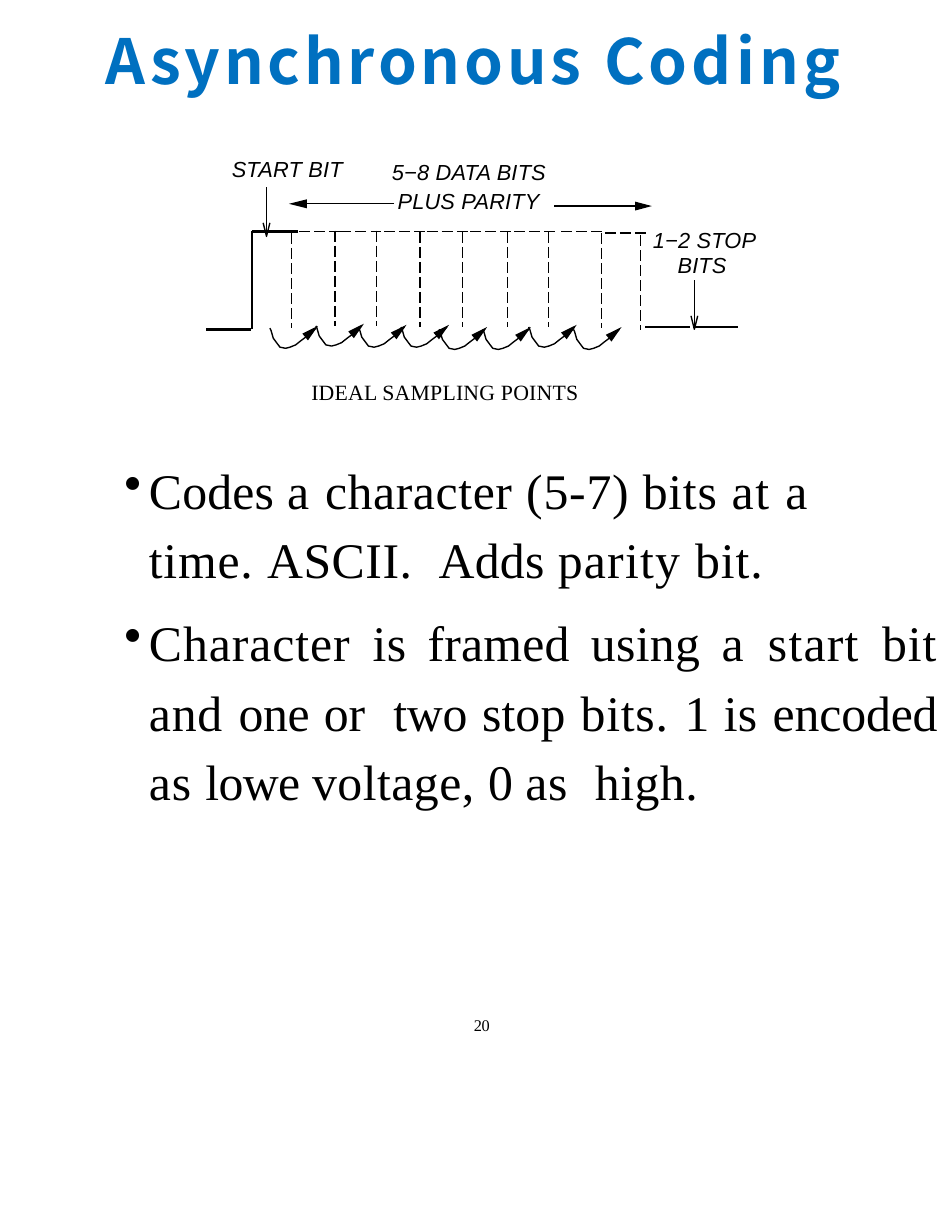
"""Build the Asynchronous Coding slide: a framed character waveform and two notes."""
from lxml import etree
from pptx import Presentation, util as u
from pptx.dml.color import RGBColor
from pptx.enum import dml, shapes, text
from pptx.oxml.ns import qn

PX = 9144
BLACK = RGBColor(0, 0, 0)
TITLE_BLUE = RGBColor(0x00, 0x70, 0xC0)
THIN, THICK = 0.88, 1.75

deck = Presentation()
deck.slide_width, deck.slide_height = 850 * PX, 1100 * PX
slide = deck.slides.add_slide(deck.slide_layouts[6])


def stroke(points, weight=THIN, dashed=False, head=False):
    if len(points) == 2:
        (x1, y1), (x2, y2) = points
        mark = slide.shapes.add_connector(
            shapes.MSO_CONNECTOR.STRAIGHT, x1 * PX, y1 * PX, x2 * PX, y2 * PX)
        etree.SubElement(mark._element.spPr, qn("a:effectLst"))
    else:
        outline = slide.shapes.build_freeform(*points[0], scale=PX)
        outline.add_line_segments(points[1:], close=head)
        mark = outline.convert_to_shape()
        mark.shadow.inherit = False
        if head:
            mark.fill.solid()
            mark.fill.fore_color.rgb = BLACK
        else:
            mark.fill.background()
    if head:
        mark.line.fill.background()
    else:
        mark.line.color.rgb = BLACK
        mark.line.width = u.Pt(weight)
        if dashed:
            mark.line.dash_style = dml.MSO_LINE.LONG_DASH


def write(box, paragraphs, top_inset=0):
    frame = slide.shapes.add_textbox(*(side * PX for side in box)).text_frame
    frame.word_wrap = True
    frame.auto_size = text.MSO_AUTO_SIZE.SHAPE_TO_FIT_TEXT
    frame.margin_left = frame.margin_right = frame.margin_bottom = 0
    frame.margin_top = top_inset * PX
    for index, (runs, style) in enumerate(paragraphs):
        para = frame.add_paragraph() if index else frame.paragraphs[0]
        props = para._p.get_or_add_pPr()
        for side in ("marL", "marR", "indent"):
            props.set(side, str(style.get(side, 0) * PX))
        if style.get("bullet"):
            etree.SubElement(props, qn("a:buChar")).set("char", "•")
        if "align" in style:
            para.alignment = style["align"]
        if "leading" in style:
            para.line_spacing = style["leading"]
        if "before" in style:
            para.space_before = u.Pt(style["before"])
        for words, tracking in runs:
            run = para.add_run()
            run.text = words
            run.font.name = style["font"]
            run.font.size = u.Pt(style["size"])
            run.font.bold = style.get("bold", False)
            run.font.italic = style.get("italic", False)
            run.font.color.rgb = style.get("color", BLACK)
            run._r.get_or_add_rPr().set("spc", str(round(tracking * 100)))


serif = {"font": "Times New Roman", "size": 14}
label = {"font": "Arial", "size": 14, "italic": True, "marL": 1}
bullet = {**serif, "size": 32, "bullet": True, "marL": 23, "indent": -22, "leading": 1.16}

write((420, 906, 21, 18),
      [([("20", -0.1)], {**serif, "size": 10.5, "marL": 3, "leading": u.Pt(12.3)})], top_inset=1)

for solid in ([(184, 294), (224, 294)], [(225, 294), (225, 206)], [(225, 207), (266, 207)],
              [(576, 292), (616, 292)], [(619, 292), (659, 292)]):
    stroke(solid, THICK)

for left, top in ((267, 207), (304, 207), (343, 207), (381, 207),
                  (420, 207), (459, 207), (501, 207), (540, 208)):
    stroke([(left, top), (left + 40, top)], dashed=True)

for x, top in ((260, 208), (299, 206), (336, 206), (375, 207), (413, 207),
               (453, 207), (490, 207), (537, 208), (572, 210)):
    stroke([(x, top), (x, top + 85)], dashed=True)

for x, top in ((238, 167), (620, 250)):
    stroke([(x, top), (x, top + 44)])
    stroke([(x + 3, top + 32), (x, top + 44), (x - 3, top + 32)])

SWING = ((0, 0), (1, 2), (3, 9), (6, 13), (9, 17), (14, 18), (18, 17),
         (23, 15), (28, 11), (32, 8), (36, 5), (41, 0))
SWING_TIP = ((43, -2), (29, 5), (34, 11))
for x, y in ((241, 293), (282, 291), (320, 292), (358, 292),
             (392, 294), (431, 294), (472, 292), (512, 294)):
    stroke([(x + dx, y + dy) for dx, dy in SWING])
    stroke([(x + dx, y + dy) for dx, dy in SWING_TIP], head=True)

for start, tip, y, back in ((352, 258, 182, 16), (495, 582, 184, -15)):
    stroke([(start, y), (tip + back // 5, y)])
    stroke([(tip + back, y - 4), (tip, y), (tip + back, y + 4)], head=True)

write((206, 139, 103, 25), [([("START BIT", 0.1)], label)])
write((349, 142, 143, 25), [([("5−8 DATA BITS", 0.1)], label)])
write((354, 168, 323, 81), [
    ([("PLUS PARITY", 0.1)], label),
    ([("1−2 STOP BITS", 0.1)],
     {**label, "marL": 251, "indent": -22, "leading": u.Pt(15.9), "before": 9.2}),
])

coding = [("Codes ", 0.1), ("a ", 1.1), ("character ", 0.4), ("(5-7) bits ", 0.5), ("at ", 1.2),
          ("a ", 1.1), ("time. ", 0.5), ("ASCII.  ", 0.3), ("Adds ", 0.2), ("parity ", 0.8),
          ("bit.", 0.6)]
framing = [("Character ", 0.6), ("is ", 0.2), ("framed ", 0.1), ("using ", 0.2), ("a ", 1.1),
           ("start ", 0.8), ("bit ", 0.6), ("and ", 0.5), ("one ", -0.3), ("or  two ", -0.2),
           ("stop ", 0.1), ("bits. ", 0.5), ("1 ", -0.1), ("is ", 0.2), ("encoded ", -0.1),
           ("as ", 0.5), ("lowe ", -0.4), ("voltage, ", 0.3), ("0 ", -0.1), ("as  ", 0.5),
           ("high.", 0.3)]
write((110, 338, 727, 391), [
    ([("IDEAL SAMPLING POINTS", 0.1)], {**serif, "marL": 168}),
    (coding, {**bullet, "marR": 70, "before": 29}),
    (framing, {**bullet, "align": text.PP_ALIGN.JUSTIFY, "before": 9.1}),
])

write((93, 20, 696, 67), [
    ([("Asynchronous ", 2.5), ("Coding", 2.7)],
     {"font": "Noto Sans CJK TC", "size": 40, "bold": True, "color": TITLE_BLUE, "marL": 1}),
])

deck.save("out.pptx")
